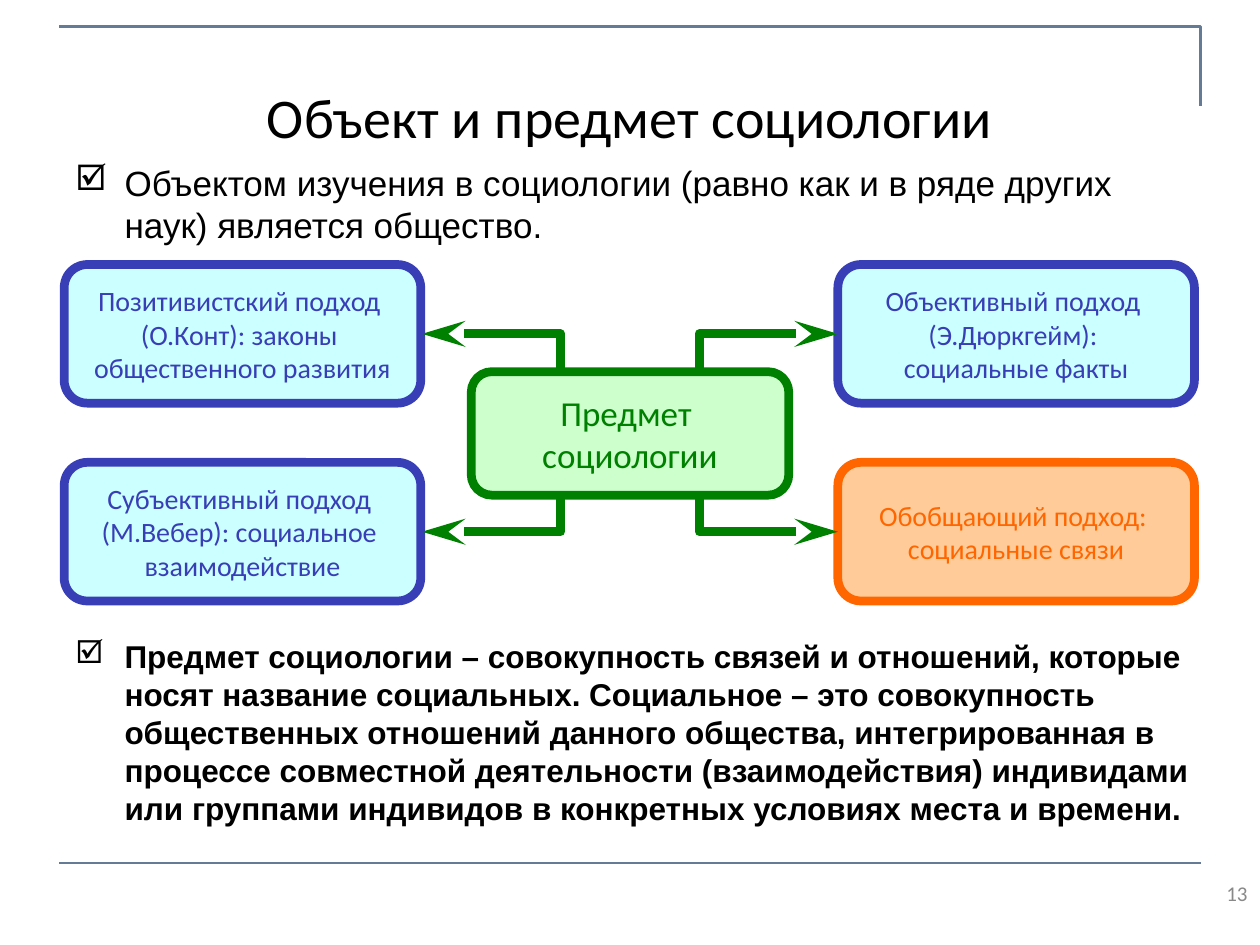
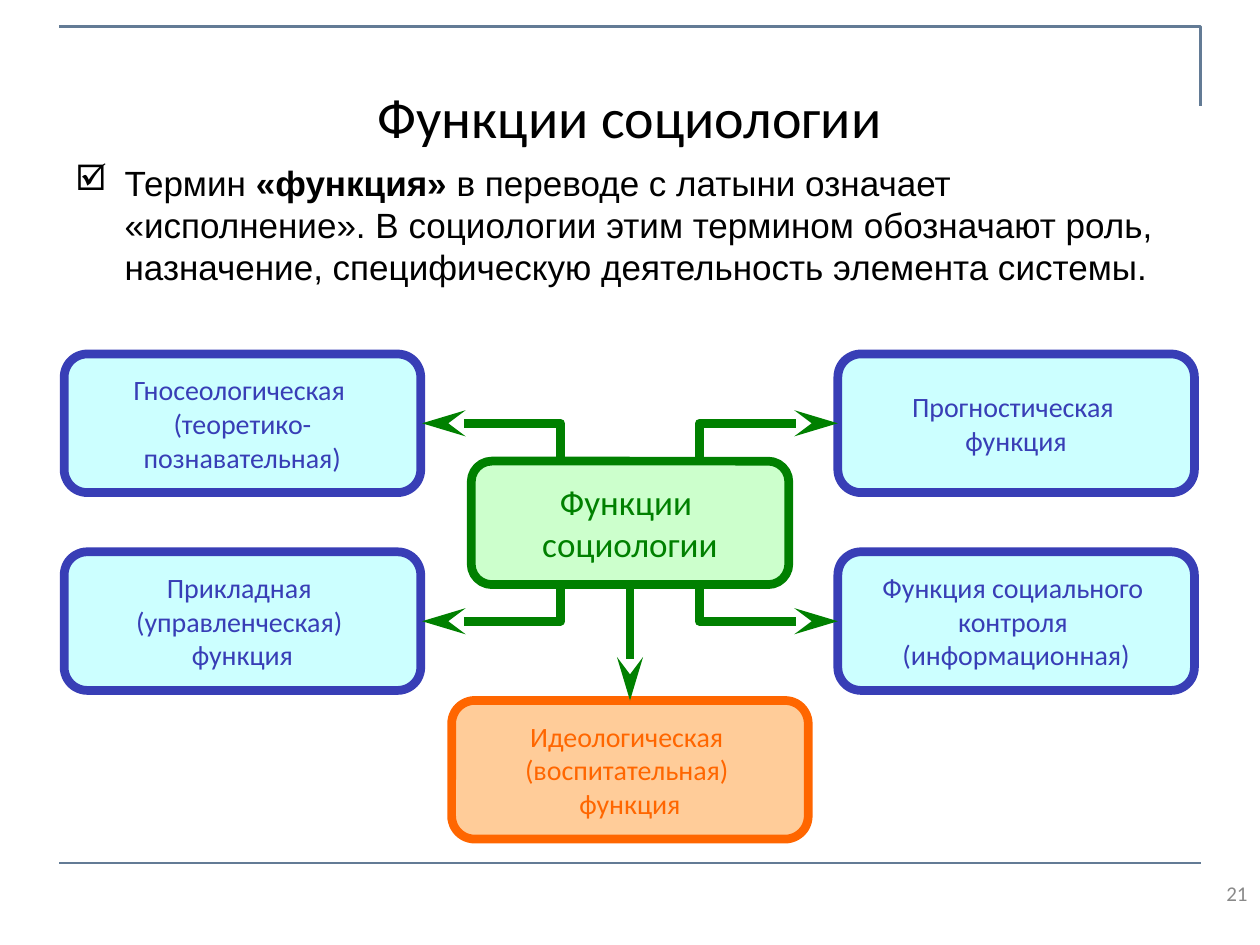
from lxml.etree import SubElement
from pptx import Presentation
from pptx.dml.color import RGBColor
from pptx.enum.shapes import MSO_CONNECTOR, MSO_SHAPE
from pptx.enum.text import MSO_ANCHOR, PP_ALIGN
from pptx.oxml.ns import qn
from pptx.util import Inches, Pt

BLACK = RGBColor(0x00, 0x00, 0x00)
GREY = RGBColor(0x89, 0x89, 0x89)
SLATE = RGBColor(0x63, 0x7B, 0x95)
GREEN = RGBColor(0x00, 0x80, 0x00)
PALE_GREEN = RGBColor(0xCC, 0xFF, 0xCC)
BLUE = RGBColor(0x38, 0x3E, 0xB6)
PALE_BLUE = RGBColor(0xCC, 0xFF, 0xFF)
ORANGE = RGBColor(0xFF, 0x66, 0x00)
PALE_ORANGE = RGBColor(0xFF, 0xCC, 0x99)

# (fill, line and text colour, text size)
CENTRE_STYLE = (PALE_GREEN, GREEN, 20)
BLUE_STYLE = (PALE_BLUE, BLUE, 16)
ORANGE_STYLE = (PALE_ORANGE, ORANGE, 16)

CENTRE_X = 5
CENTRE_W, CENTRE_H = 2.52, 0.98
BOX_W, BOX_H = 2.83, 1.1
LEFT_X, RIGHT_X = 0.51, 6.65
ROW_STEP = 1.57
CENTRE_DROP = 0.85

# Statements are (top, width, size, runs), each run being (text, bold)
SLIDES = [
    {
        "title": "Объект и предмет социологии",
        "number": "13",
        "statements": [
            (1.23, 8.99, 20, [
                ("Объектом изучения в социологии (равно как и в ряде других "
                 "наук) является общество.", False)]),
            (5.01, 9.15, 18, [
                ("Предмет социологии – совокупность связей и отношений, которые "
                 "носят название социальных. Социальное – это совокупность "
                 "общественных отношений данного общества, интегрированная в "
                 "процессе совместной деятельности (взаимодействия) индивидами "
                 "или группами индивидов в конкретных условиях места и времени.",
                 True)]),
        ],
        "top": 2.1,
        "centre": "Предмет \vсоциологии",
        "corners": [
            ("Позитивистский подход \v(О.Конт): законы \vобщественного развития", BLUE_STYLE),
            ("Объективный подход \v(Э.Дюркгейм): \vсоциальные факты", BLUE_STYLE),
            ("Субъективный подход \v(М.Вебер): социальное \vвзаимодействие", BLUE_STYLE),
            ("Обобщающий подход: \vсоциальные связи", ORANGE_STYLE),
        ],
        "below": None,
    },
    {
        "title": "Функции социологии",
        "number": "21",
        "statements": [
            (1.23, 8.98, 20, [
                ("Термин ", False),
                ("«функция»", True),
                (" в переводе с латыни означает «исполнение». В социологии этим "
                 "термином обозначают роль, назначение, специфическую "
                 "деятельность элемента системы.", False)]),
        ],
        "top": 2.81,
        "centre": "Функции \vсоциологии",
        "corners": [
            ("Гносеологическая \v(теоретико-\vпознавательная)", BLUE_STYLE),
            ("Прогностическая \vфункция", BLUE_STYLE),
            ("Прикладная \v(управленческая) \vфункция", BLUE_STYLE),
            ("Функция социального \vконтроля \v(информационная)", BLUE_STYLE),
        ],
        "below": "Идеологическая \v(воспитательная) \vфункция",
    },
]


def add_text(frame, text, size, color, align):
    frame.vertical_anchor = MSO_ANCHOR.MIDDLE
    frame.text = text
    for paragraph in frame.paragraphs:
        paragraph.alignment = align
        for run in paragraph.runs:
            run.font.name = "Calibri"
            run.font.size = Pt(size)
            run.font.color.rgb = color


def style_line(stroke, color, width, arrow_end=None):
    stroke.line.color.rgb = color
    stroke.line.width = Pt(width)
    if arrow_end:
        line = stroke.line._get_or_add_ln()
        SubElement(line, qn("a:round"))
        SubElement(line, qn(arrow_end), type="stealth", w="med", len="lg")


prs = Presentation()
prs.slide_width, prs.slide_height = Inches(10), Inches(7.5)

for content in SLIDES:
    slide = prs.slides.add_slide(prs.slide_layouts[6])
    shapes = slide.shapes
    top = content["top"]
    centre_top = top + CENTRE_DROP
    centre_bottom = centre_top + CENTRE_H
    paths = []
    connectors = []

    # Frame: corner line at the top, straight rule at the bottom
    paths.append(([(0.47, 0.21), (9.53, 0.21), (9.53, 0.84)], SLATE, 1.5, None))
    connectors.append(((0.47, 6.85), (9.53, 6.85), SLATE, 1.5, None))

    # Title and slide number
    title = shapes.add_textbox(Inches(0.5), Inches(0.3), Inches(9), Inches(1.25))
    title.text_frame.word_wrap = True
    add_text(title.text_frame, content["title"], 32, BLACK, PP_ALIGN.CENTER)
    number = shapes.add_textbox(Inches(7.67), Inches(6.83), Inches(2.33), Inches(0.52))
    number.text_frame.word_wrap = True
    add_text(number.text_frame, content["number"], 12, GREY, PP_ALIGN.RIGHT)

    # Statements with check-mark bullets
    for y, width, size, runs in content["statements"]:
        statement = shapes.add_textbox(Inches(0.5), Inches(y), Inches(width), Inches(0.89))
        statement.text_frame.word_wrap = True
        statement.text_frame.margin_bottom = Inches(0.17)
        paragraph = statement.text_frame.paragraphs[0]
        properties = paragraph._p.get_or_add_pPr()
        properties.set("marL", str(Inches(0.39)))
        properties.set("indent", str(-Inches(0.39)))
        bullet_color = SubElement(properties, qn("a:buClr"))
        SubElement(bullet_color, qn("a:srgbClr"), val=str(BLACK))
        SubElement(properties, qn("a:buChar"), char="☑")
        for text, bold in runs:
            run = paragraph.add_run()
            run.text = text
            run.font.name = "Arial"
            run.font.size = Pt(size)
            run.font.bold = bold
            run.font.color.rgb = BLACK
        statement.height = Inches(0.22 + size * 0.016 * (2 if size == 20 else 5))

    # Boxes of the scheme and the arrows that lead to them
    boxes = [(CENTRE_X - CENTRE_W / 2, centre_top, CENTRE_W, CENTRE_H,
              content["centre"], CENTRE_STYLE)]
    for index, (text, style) in enumerate(content["corners"]):
        row, column = divmod(index, 2)
        x = (LEFT_X, RIGHT_X)[column]
        y = top + row * ROW_STEP
        boxes.append((x, y, BOX_W, BOX_H, text, style))
        side = (-1, 1)[column]
        bend_x = CENTRE_X + side * 0.55
        middle = y + BOX_H / 2
        paths.append(([(CENTRE_X + side * 1.65, middle), (bend_x, middle),
                       (bend_x, (centre_top, centre_bottom)[row])],
                      GREEN, 5, "a:headEnd"))
    if content["below"]:
        below_top = 5.56
        boxes.append((CENTRE_X - BOX_W / 2, below_top, BOX_W, BOX_H,
                      content["below"], ORANGE_STYLE))
        connectors.append(((CENTRE_X, centre_bottom), (CENTRE_X, below_top),
                           GREEN, 5, "a:tailEnd"))

    for x, y, width, height, text, (fill, color, size) in boxes:
        box = shapes.add_shape(MSO_SHAPE.ROUNDED_RECTANGLE, Inches(x), Inches(y),
                               Inches(width), Inches(height))
        box.shadow.inherit = False
        box.fill.solid()
        box.fill.fore_color.rgb = fill
        style_line(box, color, 5)
        box.text_frame.word_wrap = False
        add_text(box.text_frame, text, size, color, PP_ALIGN.CENTER)

    for points, color, width, arrow_end in paths:
        start, *rest = [(Inches(x), Inches(y)) for x, y in points]
        builder = shapes.build_freeform(*start)
        builder.add_line_segments(rest, close=False)
        bent_line = builder.convert_to_shape()
        bent_line.shadow.inherit = False
        bent_line.fill.background()
        style_line(bent_line, color, width, arrow_end)

    for start, end, color, width, arrow_end in connectors:
        straight_line = shapes.add_connector(
            MSO_CONNECTOR.STRAIGHT, *[Inches(value) for value in start + end])
        style_line(straight_line, color, width, arrow_end)
        SubElement(straight_line._element.spPr, qn("a:effectLst"))

prs.save("out.pptx")
